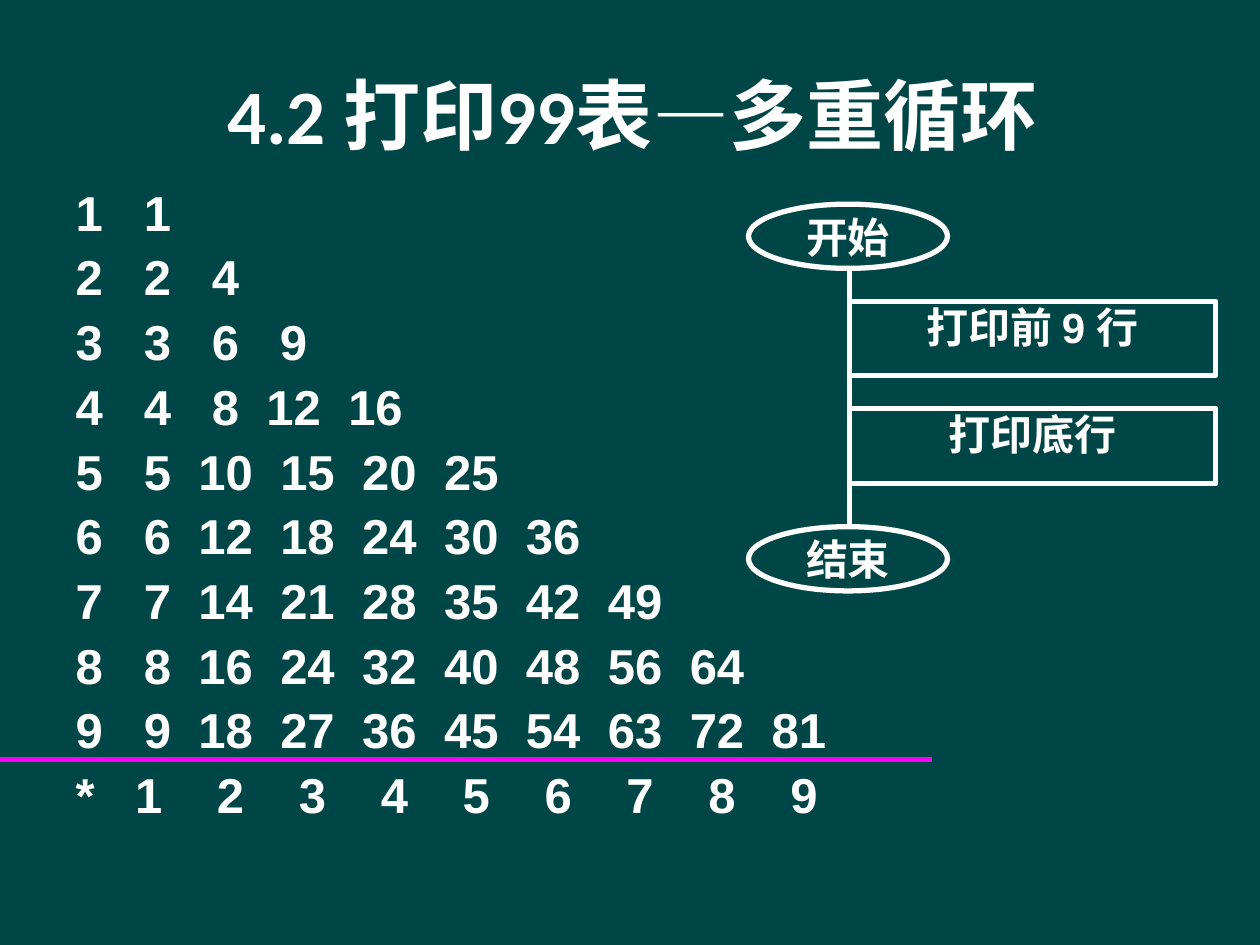
"""Build the slide on printing the 9 x 9 table with nested loops."""
from lxml.etree import SubElement
from pptx import Presentation
from pptx.dml.color import RGBColor
from pptx.enum.shapes import MSO_CONNECTOR as LINE, MSO_SHAPE as SHAPE
from pptx.enum.text import MSO_ANCHOR as ANCHOR, MSO_AUTO_SIZE as AUTOSIZE, PP_ALIGN as ALIGN
from pptx.oxml.ns import qn
from pptx.util import Inches, Pt

COLORS = {"board": "004646", "chalk": "FFFFFF", "rule": "F900F9"}


def write(box, text, font="Arial", size=24, align=ALIGN.CENTER, anchor=ANCHOR.TOP,
          margin=0.0, spacing=None, tab_rows=()):
    frame = box.text_frame
    frame.word_wrap = True
    frame.auto_size = AUTOSIZE.NONE
    frame.vertical_anchor = anchor
    frame.margin_left = frame.margin_right = Inches(margin)
    frame.margin_top = frame.margin_bottom = Inches(margin)
    frame.text = text
    for index, para in enumerate(frame.paragraphs):
        para.alignment = align
        if spacing:
            para.line_spacing = spacing
        if tab_rows:
            tabs = SubElement(para._p.get_or_add_pPr(), qn("a:tabLst"))
            for stop in tab_rows[index]:
                SubElement(tabs, qn("a:tab"), pos=str(Inches(stop)), algn="ctr")
        for span in para.runs:
            span.font.name = font
            span.font.size = Pt(size)
            span.font.bold = True
            span.font.color.rgb = RGBColor.from_string(COLORS["chalk"])


def draw_line(page, x1, y1, x2, y2, color):
    line = page.shapes.add_connector(
        LINE.STRAIGHT, Inches(x1), Inches(y1), Inches(x2), Inches(y2))
    line.line.color.rgb = RGBColor.from_string(COLORS[color])
    line.line.width = Pt(3)
    SubElement(line._element.spPr, qn("a:effectLst"))


deck = Presentation()
deck.slide_width, deck.slide_height = Inches(10), Inches(7.5)
page = deck.slides.add_slide(deck.slide_layouts[5])
page.background.fill.solid()
page.background.fill.fore_color.rgb = RGBColor.from_string(COLORS["board"])

title = page.shapes.title
title.left, title.top = Inches(0.35), Inches(0.28)
title.width, title.height = Inches(9.34), Inches(1.25)
write(title, "4.2 打印99表—多重循环", font="Calibri", size=44,
      anchor=ANCHOR.MIDDLE, margin=0.05)

STEP = 0.65
rows, tab_rows = [], []
for row in range(1, 10):
    products = [row * column for column in range(1, row + 1)]
    rows.append("\t".join(str(value) for value in [row] + products))
    third = 1.73 if row < 5 else 1.84
    tab_rows.append([0.65, 1.19] + [third + STEP * k for k in range(7)])
rows.append("\t".join(["*"] + [str(column) for column in range(1, 10)]))
tab_rows.append([0.58 + STEP * k for k in range(9)])

table_text = page.shapes.add_textbox(Inches(0.59), Inches(1.39), Inches(5.99), Inches(5.12))
write(table_text, "\n".join(rows), size=28, align=ALIGN.LEFT, margin=0.01,
      spacing=1.1, tab_rows=tab_rows)

draw_line(page, 0, 6.03, 7.4, 6.03, "rule")
draw_line(page, 6.74, 2.13, 6.74, 4.18, "chalk")

flow_steps = [
    ("开始", SHAPE.OVAL, 5.94, 1.62, 1.58, 0.51),
    ("打印前 9 行", SHAPE.RECTANGLE, 6.74, 2.39, 2.91, 0.59),
    ("打印底行", SHAPE.RECTANGLE, 6.74, 3.24, 2.91, 0.6),
    ("结束", SHAPE.OVAL, 5.94, 4.18, 1.58, 0.51),
]
for label, kind, left, top, width, height in flow_steps:
    node = page.shapes.add_shape(
        kind, Inches(left), Inches(top), Inches(width), Inches(height))
    node.shadow.inherit = False
    node.fill.background()
    node.line.color.rgb = RGBColor.from_string(COLORS["chalk"])
    node.line.width = Pt(3)
    if kind == SHAPE.OVAL:
        write(node, label, font="Times New Roman", anchor=ANCHOR.MIDDLE)
    else:
        write(node, label)

deck.save("out.pptx")
